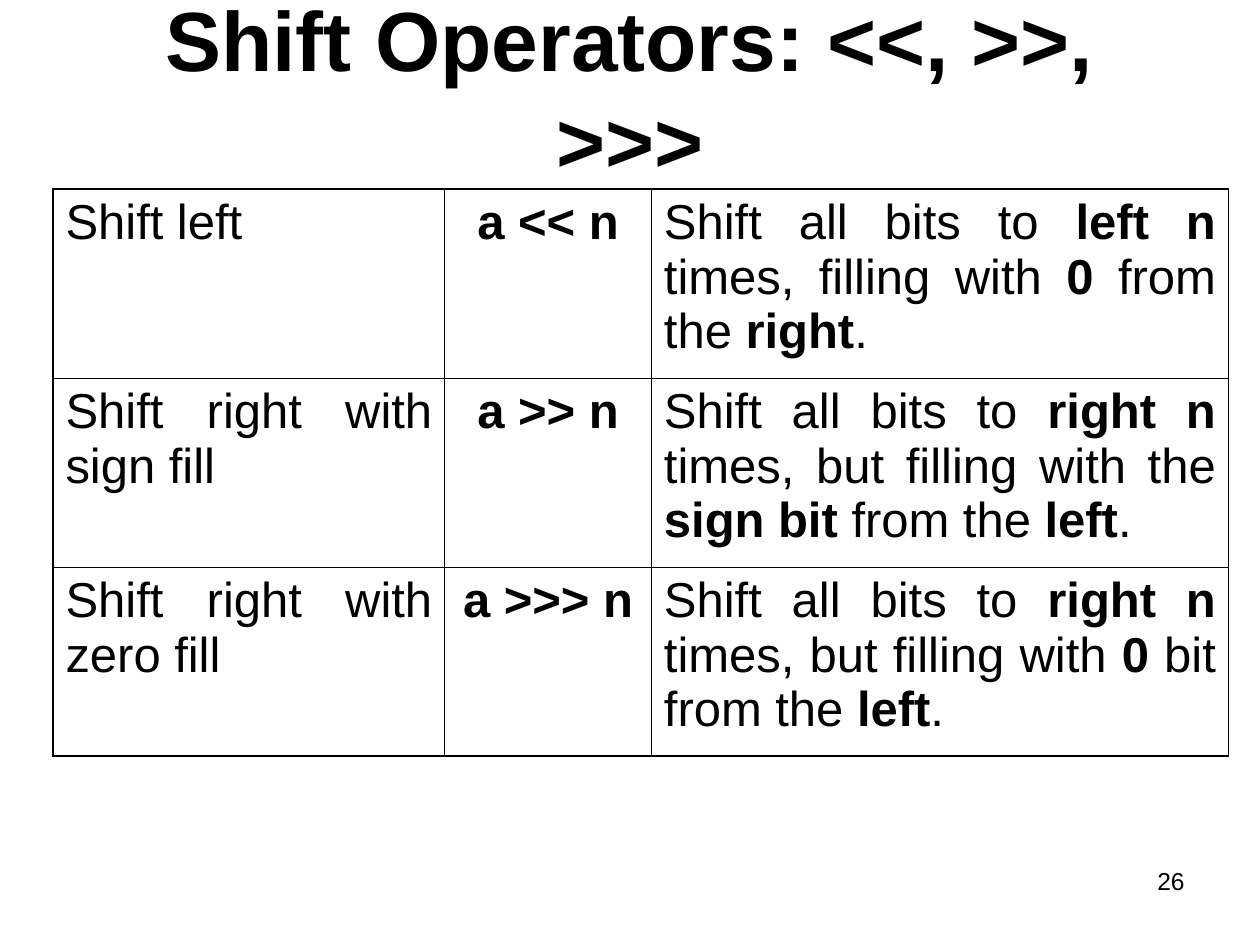
from pptx import Presentation
from pptx.dml.color import RGBColor
from pptx.enum.text import MSO_ANCHOR as Anchor, MSO_AUTO_SIZE as Fit, PP_ALIGN as Align
from pptx.oxml import parse_xml as to_xml
from pptx.oxml.ns import nsdecls
from pptx.util import Inches, Pt

COLS = [3.11, 1.64, 4.58]
ROWS = [
    ("Shift left", "*a << n*",
     "Shift all bits to *left n* times, filling with *0* from the *right*."),
    ("Shift right with sign fill", "*a >> n*",
     "Shift all bits to *right n* times, but filling with the *sign bit* from the *left*."),
    ("Shift right with zero fill", "*a >>> n*",
     "Shift all bits to *right n* times, but filling with *0* bit from the *left*."),
]


def tint(code):
    return RGBColor.from_string(code)


class Deck:
    font = "Arial"
    ink = "000000"
    thin, thick = 0.45, 1.08

    def __init__(self, wide, high):
        self.show = Presentation()
        self.show.slide_width = Inches(wide)
        self.show.slide_height = Inches(high)
        self.slide = self.show.slides.add_slide(self.show.slide_layouts[5])

    def box(self, x, y, w, h):
        wide, high = self.show.slide_width, self.show.slide_height
        return int(x * wide), int(y * high), int(w * wide), int(h * high)

    def style(self, run, size, bold):
        run.font.name = self.font
        run.font.size = Pt(size)
        run.font.bold = bold
        run.font.color.rgb = tint(self.ink)

    def fill(self, para, text, size, align):
        para.alignment = align
        for i, part in enumerate(text.split("*")):
            if part:
                run = para.add_run()
                run.text = part
                self.style(run, size, i % 2 == 1)

    def title(self, text, size, *area):
        head = self.slide.shapes.title
        head.left, head.top, head.width, head.height = self.box(*area)
        frame = head.text_frame
        frame.auto_size = Fit.NONE
        frame.word_wrap = True
        frame.vertical_anchor = Anchor.MIDDLE
        self.fill(frame.paragraphs[0], f"*{text}*", size, Align.CENTER)

    def label(self, text, size, align, *area):
        frame = self.slide.shapes.add_textbox(*self.box(*area)).text_frame
        frame.word_wrap = True
        self.fill(frame.paragraphs[0], text, size, align)

    def edge(self, side, width):
        return to_xml(
            f'<a:ln{side} {nsdecls("a")} w="{Pt(width)}"><a:solidFill>'
            f'<a:srgbClr val="{self.ink}"/></a:solidFill></a:ln{side}>')

    def rule(self, cell, outer):
        cell.fill.background()
        props = cell._tc.get_or_add_tcPr()
        for i, side in enumerate("LRTB"):
            width = self.thick if outer[side] else self.thin
            props.insert(i, self.edge(side, width))

    def table(self, rows, cols, size, *area):
        grid = self.slide.shapes.add_table(len(rows), len(cols), *self.box(*area)).table
        grid.first_row = grid.horz_banding = False
        for col, wide in zip(grid.columns, cols):
            col.width = Inches(wide)
        for r, row in enumerate(rows):
            for c, text in enumerate(row):
                cell = grid.cell(r, c)
                self.rule(cell, {"L": c == 0, "R": c == len(cols) - 1,
                                 "T": r == 0, "B": r == len(rows) - 1})
                para = cell.text_frame.paragraphs[0]
                para.space_before = Pt(7)
                self.fill(para, text, size, Align.CENTER if c == 1 else Align.JUSTIFY)


def main():
    deck = Deck(10, 7.5)
    deck.title("Shift Operators: <<, >>, >>>", 48, 0.075, 0.044, 0.85, 0.1)
    deck.table(ROWS, COLS, 28, 0.042, 0.2, 0.933, 0.6)
    deck.label("26", 14, Align.RIGHT, 0.717, 0.91, 0.233, 0.07)
    deck.show.save("out.pptx")


if __name__ == "__main__":
    main()
